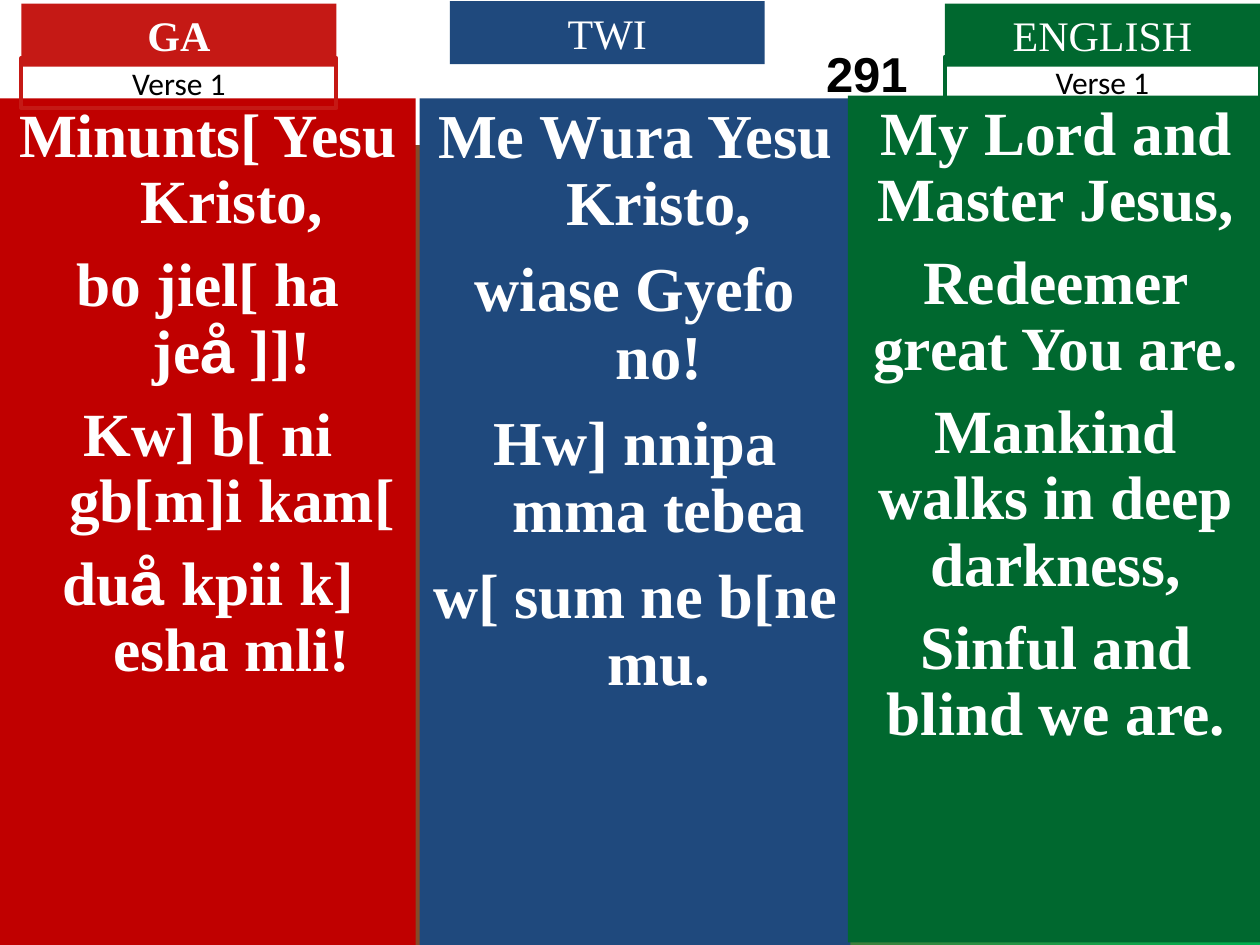
from pptx import Presentation
from pptx.dml.color import RGBColor
from pptx.enum.text import MSO_ANCHOR, MSO_AUTO_SIZE, PP_ALIGN
from pptx.util import Inches, Pt

COLORS = {"red": "C51915", "deep red": "C00000", "blue": "1F497D", "green": "00682F",
          "bright green": "00B050", "white": "FFFFFF", "black": "000000"}
SERIF, SANS, LABEL = "Times New Roman", "Arial", "Calibri"
SLIDE_W, SLIDE_H = 10, 7.5
PANEL_H, TAG_W, TAG_H, VERSE_H = 6.72, 2.5, 0.5, 0.4
HYMN_NUMBER = "291"

GA = {
    "panel": (0, 0.78, 3.3), "panel color": "deep red", "size": 35.1, "before": 9.5, "hang": 0.38,
    "lines": [
        [("Minunts[ Yesu Kristo,", SERIF)],
        [("bo jiel[ ha je", SERIF), ("å", SANS), (" ]]!", SERIF)],
        [("Kw] b[ ni gb[m]i kam[", SERIF)],
        [("du", SERIF), ("å ", SANS), ("kpii k] esha mli!", SERIF)],
    ],
    "tag": "GA", "tag at": (0.17, 0.03), "tag color": "red", "tag bold": True,
    "verse": "Verse 1", "verse top": 0.46,
}
TWI = {
    "panel": (3.33, 0.78, 3.42), "panel color": "blue", "size": 35.7, "before": 10.5, "hang": 0.38,
    "lines": [
        [("Me Wura Yesu Kristo,", SERIF)],
        [("wiase Gyefo no!", SERIF)],
        [("Hw] nnipa mma tebea", SERIF)],
        [("w[ sum ne b[ne mu.", SERIF)],
    ],
    "tag": "TWI", "tag at": (3.57, 0.01), "tag color": "blue", "tag bold": False,
    "verse": None,
}
ENGLISH = {
    "panel": (6.73, 0.76, 3.3), "panel color": "green", "size": 35.1, "before": 9.5, "hang": 0,
    "lines": [
        [("My Lord and Master Jesus,", SERIF)],
        [("Redeemer great You are.", SERIF)],
        [("Mankind walks in deep darkness,", SERIF)],
        [("Sinful and blind we are.", SERIF)],
    ],
    "tag": "ENGLISH", "tag at": (7.5, 0.03), "tag color": "green", "tag bold": False,
    "verse": "Verse 1", "verse top": 0.45,
}


def rgb(name):
    return RGBColor.from_string(COLORS[name])


def fill_with(part, color):
    part.fill.solid()
    part.fill.fore_color.rgb = rgb(color)


def write(paragraph, words, typeface, size, color, bold=False):
    paragraph.alignment = PP_ALIGN.CENTER
    run = paragraph.add_run()
    run.text = words
    run.font.name = typeface
    run.font.size = Pt(size)
    run.font.bold = bold
    run.font.color.rgb = rgb(color)


def add_box(slide, left, top, width, height):
    box = slide.shapes.add_textbox(Inches(left), Inches(top), Inches(width), Inches(height))
    box.text_frame.word_wrap = True
    return box


def add_number(slide):
    number = slide.shapes.title
    number.left, number.top = 0, 0
    number.width, number.height = Inches(SLIDE_W), Inches(1.15)
    fill_with(number, "white")
    frame = number.text_frame
    frame.auto_size = MSO_AUTO_SIZE.NONE
    frame.vertical_anchor = MSO_ANCHOR.MIDDLE
    frame.margin_left, frame.margin_right = Inches(3.76), 0
    write(frame.paragraphs[0], HYMN_NUMBER, SANS, 28, "black", True)


def add_lyrics(slide, language):
    panel = add_box(slide, *language["panel"], PANEL_H)
    fill_with(panel, language["panel color"])
    frame = panel.text_frame
    for index, line in enumerate(language["lines"]):
        paragraph = frame.add_paragraph() if index else frame.paragraphs[0]
        paragraph.line_spacing = 0.9
        paragraph.space_before = Pt(language["before"] if index else 0)
        indent = Inches(language["hang"])
        properties = paragraph._p.get_or_add_pPr()
        properties.set("marL", str(indent))
        properties.set("indent", str(-indent))
        for words, typeface in line:
            write(paragraph, words, typeface, language["size"], "white", True)


def add_tag(slide, language):
    tag = add_box(slide, *language["tag at"], TAG_W, TAG_H)
    fill_with(tag, language["tag color"])
    write(tag.text_frame.paragraphs[0], language["tag"], SERIF, 24, "white", language["tag bold"])


def add_verse(slide, language):
    if not language["verse"]:
        return
    verse = add_box(slide, language["tag at"][0], language["verse top"], TAG_W, VERSE_H)
    verse.line.color.rgb = rgb(language["tag color"])
    verse.line.width = Pt(2.25)
    write(verse.text_frame.paragraphs[0], language["verse"], LABEL, 18, "black")


def main():
    deck = Presentation()
    deck.slide_width, deck.slide_height = Inches(SLIDE_W), Inches(SLIDE_H)
    slide = deck.slides.add_slide(deck.slide_layouts.get_by_name("Title Only"))
    backdrop = slide.background.fill
    backdrop.gradient()
    backdrop.gradient_angle = 0
    for stop, color in zip(backdrop.gradient_stops, ("red", "bright green")):
        stop.color.rgb = rgb(color)
    add_number(slide)
    for language in (GA, TWI, ENGLISH):
        add_lyrics(slide, language)
    for language in (GA, TWI, ENGLISH):
        add_tag(slide, language)
        add_verse(slide, language)
    deck.save("out.pptx")


if __name__ == "__main__":
    main()
